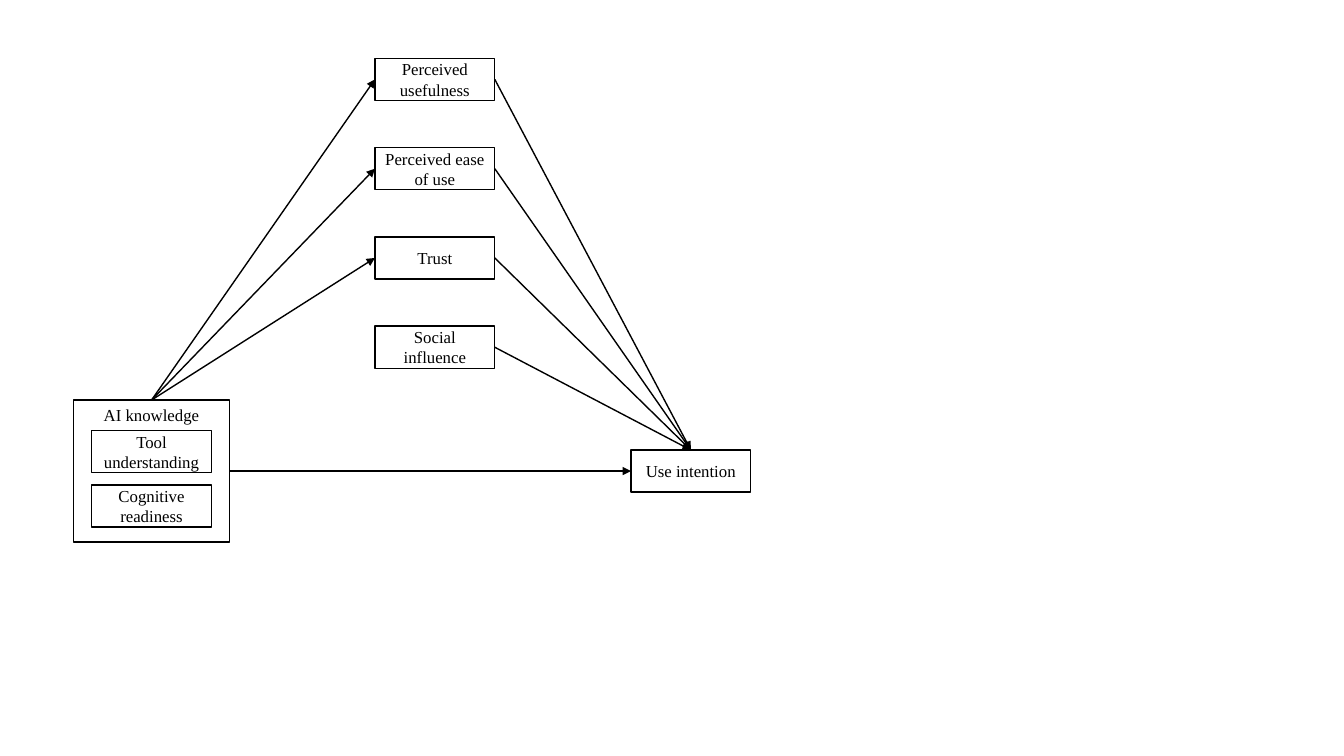
"""Build a path model slide linking AI knowledge to use intention."""
import pptx
import pptx.dml.color
import pptx.enum.shapes
import pptx.enum.text
import pptx.oxml.ns
import pptx.util
from lxml import etree

Cm = pptx.util.Cm
Pt = pptx.util.Pt
ANCHOR = pptx.enum.text.MSO_ANCHOR
TOP, LEFT, RIGHT = 0, 1, 3


def colour(hex_string):
    return pptx.dml.color.RGBColor.from_string(hex_string)


class Diagram:
    font_name = "Times New Roman"
    font_size = Pt(12)
    ink = "000000"
    line_width = Pt(1)
    box_width, box_height = 3.02, 1.06

    def __init__(self, slide):
        self.slide = slide

    def box(self, text, left, top, width=box_width, height=box_height, anchor=ANCHOR.MIDDLE):
        shape = self.slide.shapes.add_shape(
            pptx.enum.shapes.MSO_SHAPE.RECTANGLE, Cm(left), Cm(top), Cm(width), Cm(height))
        shape.shadow.inherit = False
        shape.fill.background()
        shape.line.color.rgb = colour(self.ink)
        shape.line.width = self.line_width
        frame = shape.text_frame
        frame.word_wrap = True
        frame.vertical_anchor = anchor
        frame.margin_left = frame.margin_right = Cm(0.2)
        frame.text = text
        paragraph = frame.paragraphs[0]
        paragraph.alignment = pptx.enum.text.PP_ALIGN.CENTER
        paragraph.font.name = self.font_name
        paragraph.font.size = self.font_size
        paragraph.font.color.rgb = colour(self.ink)
        return shape

    def arrow(self, source, source_side, target, target_side):
        connector = self.slide.shapes.add_connector(
            pptx.enum.shapes.MSO_CONNECTOR.STRAIGHT, 0, 0, 0, 0)
        connector.begin_connect(source, source_side)
        connector.end_connect(target, target_side)
        connector.line.color.rgb = colour(self.ink)
        connector.line.width = self.line_width
        line = connector.line._get_or_add_ln()
        etree.SubElement(line, pptx.oxml.ns.qn("a:tailEnd"), type="triangle")
        etree.SubElement(connector._element.spPr, pptx.oxml.ns.qn("a:effectLst"))


def main():
    presentation = pptx.Presentation()
    presentation.slide_width = Cm(33.87)
    presentation.slide_height = Cm(19.05)
    diagram = Diagram(presentation.slides.add_slide(presentation.slide_layouts[6]))

    mediator_names = ["Perceived usefulness", "Perceived ease of use", "Trust", "Social influence"]
    mediators = [diagram.box(name, 9.45, 1.47 + 2.25 * row)
                 for row, name in enumerate(mediator_names)]
    knowledge = diagram.box("AI knowledge", 1.85, 10.08, 3.94, 3.58, ANCHOR.TOP)
    intention = diagram.box("Use intention", 15.9, 11.34)

    diagram.arrow(knowledge, RIGHT, intention, LEFT)
    for mediator in mediators[:3]:
        diagram.arrow(knowledge, TOP, mediator, LEFT)
    for mediator in mediators:
        diagram.arrow(mediator, RIGHT, intention, TOP)

    for row, name in enumerate(["Tool understanding", "Cognitive readiness"]):
        diagram.box(name, 2.31, 10.85 + 1.37 * row)

    presentation.save("out.pptx")


if __name__ == "__main__":
    main()
